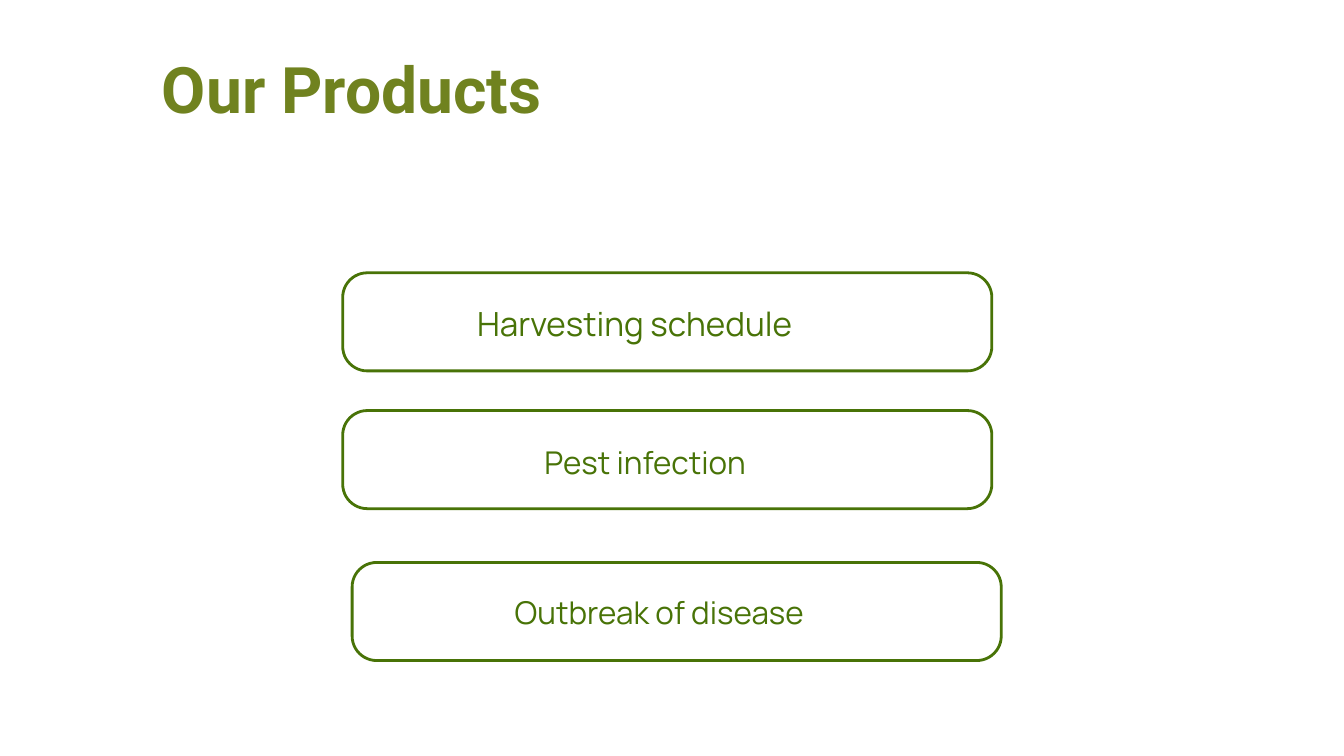
import pptx
import pptx.dml.color
import pptx.enum.shapes
import pptx.enum.text
import pptx.util

Inches = pptx.util.Inches
Pt = pptx.util.Pt

COLORS = {"green": "487307", "olive": "70821F", "white": "FFFFFF"}
CARD_W, CARD_H = 9.66, 1.46

# Card left and top, label offset in the card, label width, size, line spacing
CARDS = [
    ("Harvesting schedule", 5.1, 4.06, 2.0, 0.36, 5.33, 35.6, 49.8),
    ("Pest infection", 5.1, 6.11, 3.0, 0.39, 3.56, 33.6, 47),
    ("Outbreak of disease", 5.24, 8.37, 2.42, 0.36, 4.85, 33.6, 47),
]


def rgb(name):
    return pptx.dml.color.RGBColor.from_string(COLORS[name])


def add_text(s, text, x, y, w, h, font, size, spacing, color, bold=False):
    sp = s.shapes.add_textbox(Inches(x), Inches(y), Inches(w), Inches(h))
    tf = sp.text_frame
    tf.word_wrap = True
    tf.auto_size = pptx.enum.text.MSO_AUTO_SIZE.SHAPE_TO_FIT_TEXT
    tf.margin_left = tf.margin_right = tf.margin_top = tf.margin_bottom = 0
    p = tf.paragraphs[0]
    p.line_spacing = Pt(spacing)
    r = p.add_run()
    r.text = text
    r.font.name = font
    r.font.size = Pt(size)
    r.font.bold = bold
    r.font.color.rgb = rgb(color)


def add_title(s, x, y, w, h):
    add_text(s, "Our Products", x, y, w, h, "Roboto", 68.7, 63.9, "olive", True)


def add_card(s, label, x, y, dx, dy, label_w, size, spacing):
    # Rounded outline
    sp = s.shapes.add_shape(
        pptx.enum.shapes.MSO_SHAPE.ROUNDED_RECTANGLE,
        Inches(x), Inches(y), Inches(CARD_W), Inches(CARD_H))
    sp.adjustments[0] = 0.25
    sp.shadow.inherit = False
    sp.fill.solid()
    sp.fill.fore_color.rgb = rgb("white")
    sp.line.color.rgb = rgb("green")
    sp.line.width = Pt(3)
    # Label
    add_text(s, label, x + dx, y + dy, label_w, 0.65,
             "Manrope", size, spacing, "green")


def main():
    prs = pptx.Presentation()
    prs.slide_width = Inches(20)
    prs.slide_height = Inches(11.25)
    s = prs.slides.add_slide(prs.slide_layouts[6])
    s.background.fill.solid()
    s.background.fill.fore_color.rgb = rgb("white")

    for card in CARDS:
        add_card(s, *card)
    add_title(s, 2.41, 0.99, 9.54, 0.94)

    prs.save("out.pptx")


if __name__ == "__main__":
    main()
